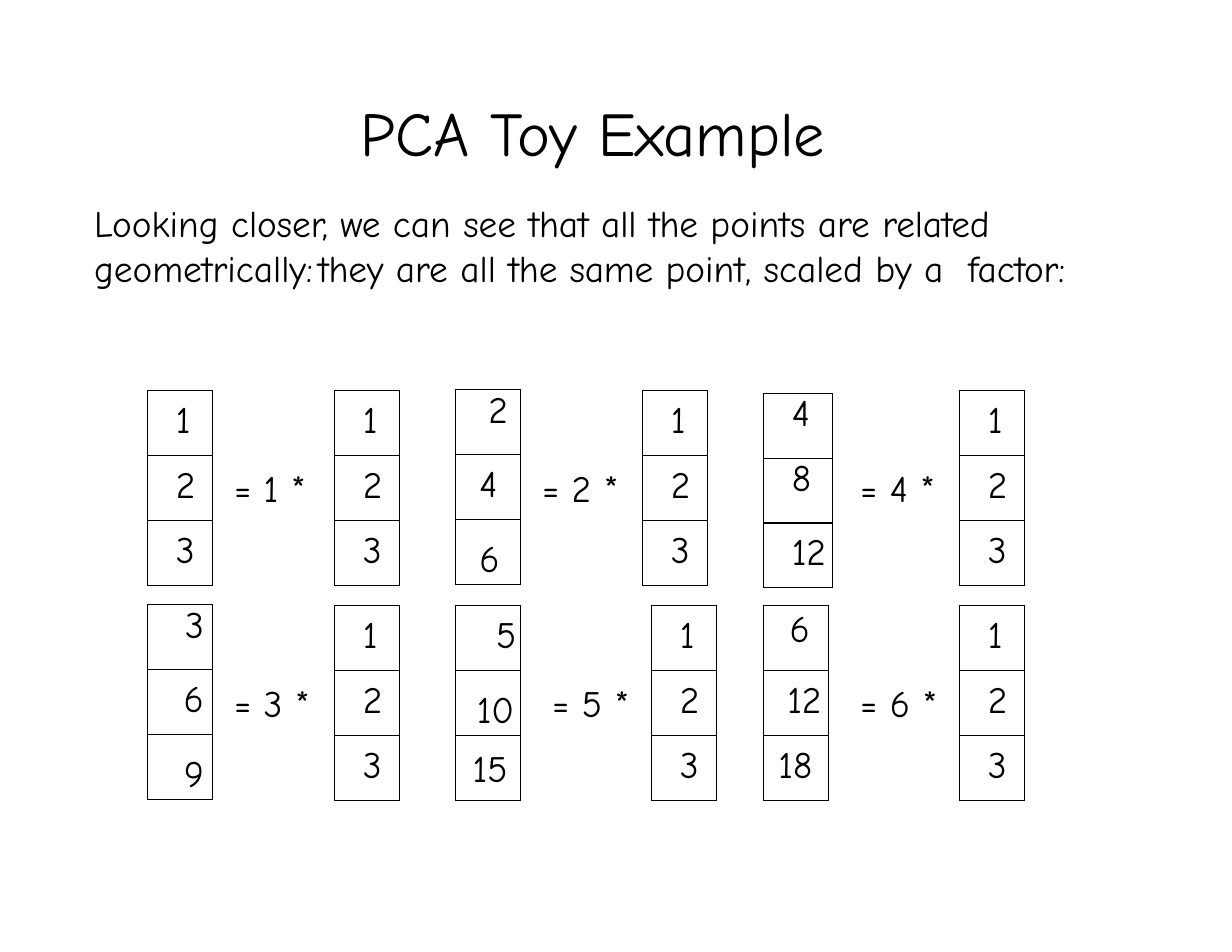
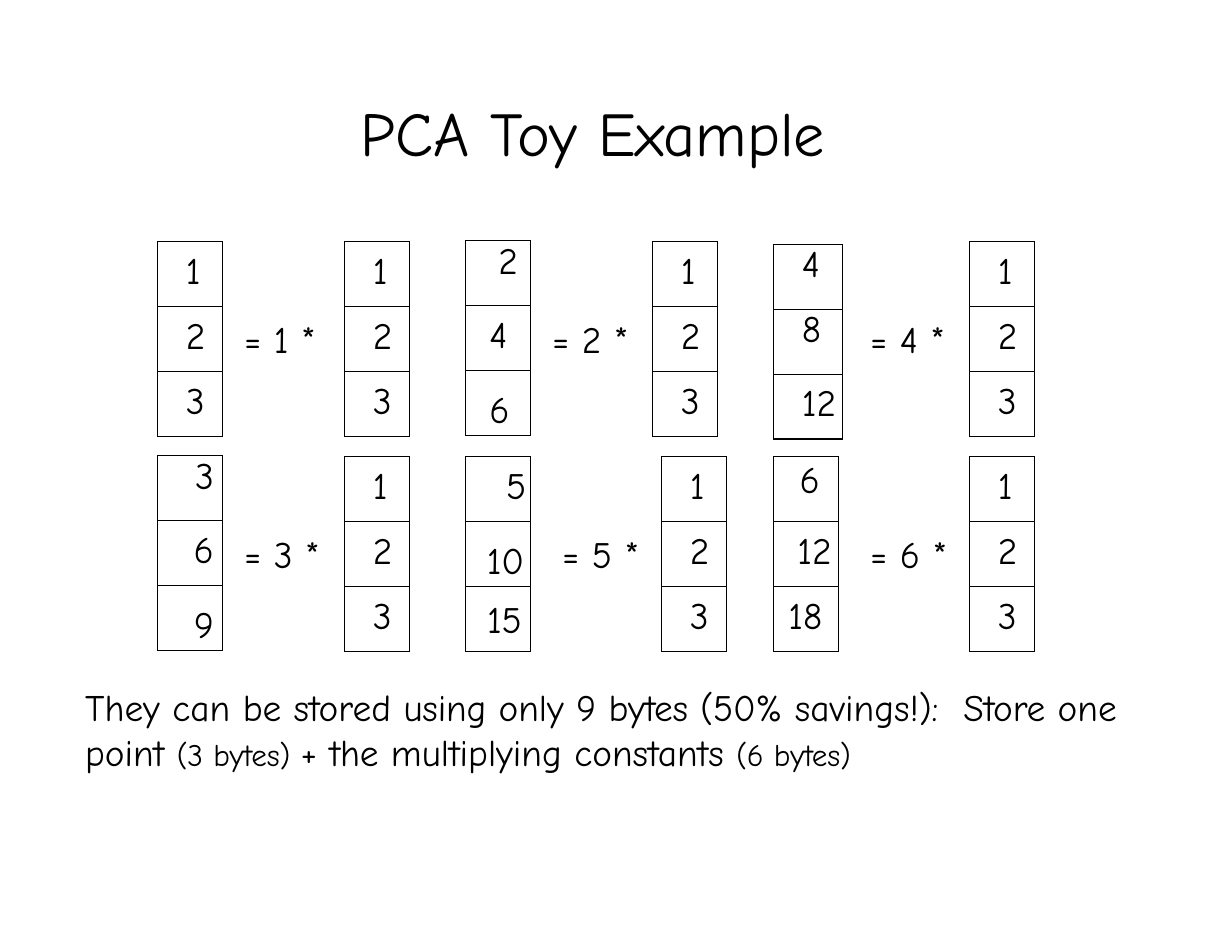
import pptx
import pptx.util
import pptx.enum.text
import pptx.dml.color
from pptx.oxml.xmlchemy import OxmlElement

HUE = {"ink": "000000", "page": "FFFFFF"}
FONT = "Comic Neue"
HEAD = "PCA Toy Example"

# Cells: text, side ("l" or "r"), side margin, top margin
UNIT = [(n, "l", 0.25, 0.08) for n in "123"]
BASE15 = ("15", "l", 0.15, 0.12)
RIGHT15 = ("15", "r", 0.08, 0.12)

# Products: factor, grid column and row, nudge down, shift of "= n *" and of the unit, width, cells
SUMS = [
    (1, 0, 0, 0, 0, 0, 0.58, UNIT),
    (2, 1, 0, -0.01, 0, 0, 0.58,
     [("2", "l", 0.29, 0), ("4", "l", 0.21, 0.08), ("6", "l", 0.21, 0.17)]),
    (4, 2, 0, 0.02, 0.09, 0.08, 0.61,
     [("4", "l", 0.25, 0), ("8", "l", 0.25, 0), ("12", "l", 0.25, 0.08)]),
    (3, 0, 1, -0.01, 0, 0, 0.58,
     [("3", "r", 0.08, 0), ("6", "r", 0.08, 0.08), ("9", "r", 0.08, 0.17)]),
    (5, 1, 1, 0, 0.09, 0.08, 0.58,
     [("5", "r", 0.04, 0.08), ("10", "r", 0.06, 0.17), BASE15]),
    (6, 2, 1, 0, 0.09, 0.08, 0.58,
     [("6", "l", 0.23, 0.03), ("12", "l", 0.21, 0.08), ("18", "l", 0.13, 0.08)]),
]

# Runs: text or (text, size); every second run is set a little tighter
CLOSER = ["Looking closer, ", "we ", "can see ", "that ", "all ", "the ", "points are ",
          "related ", "geometrically:\t", "they ", "are all ", "the same ",
          "point, scaled ", "by ", "a  ", "factor:"]
STORE = ["They can ", "be ", "stored ", "using ", "only 9 ", "bytes (50% ",
         "savings!):  ", "Store ", "one point ", ("(3 bytes) ", 20), "+ ", "the ",
         "multiplying constants ", ("(6 bytes)", 20)]

# Slides: grid origin, body box, body inset, body runs, swapped cells
PAGES = [
    ((1.32, 3.49), (0.83, 1.77, 8.82, 1.23), 0.02, CLOSER, {}),
    ((1.41, 2.16), (0.75, 6.1, 9.26, 0.83), 0.01, STORE, {BASE15: RIGHT15}),
]

# Grid: steps between products, and offsets inside one
STEP_X, STEP_Y = 2.75, 1.92
SIGN_X, SIGN_Y, UNIT_X = 0.76, 0.65, 1.67
CELL = 0.58

inch = pptx.util.Inches
ALIGN = {"l": pptx.enum.text.PP_ALIGN.LEFT, "r": pptx.enum.text.PP_ALIGN.RIGHT}


def write(frame, runs, size=24, side="l", tab=None):
    """Fill the first paragraph of a frame with formatted runs."""
    para = frame.paragraphs[0]
    para.alignment = ALIGN[side]
    para.space_before = pptx.util.Pt(0)
    para.line_spacing = 1.0
    if tab:
        stops = OxmlElement("a:tabLst")
        stop = OxmlElement("a:tab")
        stop.set("pos", str(inch(tab)))
        stop.set("algn", "l")
        stops.append(stop)
        para._p.get_or_add_pPr().append(stops)
    for i, part in enumerate(runs):
        text, points = part if isinstance(part, tuple) else (part, size)
        run = para.add_run()
        run.text = text
        run.font.name = FONT
        run.font.size = pptx.util.Pt(points)
        run.font.color.rgb = pptx.dml.color.RGBColor.from_string(HUE["ink"])
        if i % 2 or (text.isdigit() and len(text) > 1):
            run._r.get_or_add_rPr().set("spc", "-10")


def place(shape, box):
    shape.left, shape.top, shape.width, shape.height = map(inch, box)


def setup(frame, top=0.01):
    """Set wrapping, anchor and insets of a text frame."""
    frame.word_wrap = True
    frame.auto_size = pptx.enum.text.MSO_AUTO_SIZE.NONE
    frame.vertical_anchor = pptx.enum.text.MSO_ANCHOR.TOP
    frame.margin_left, frame.margin_top = inch(0.01), inch(top)
    frame.margin_right = frame.margin_bottom = 0


def label(slide, box, runs, top=0.01, **form):
    frame = slide.shapes.add_textbox(*map(inch, box)).text_frame
    setup(frame, top)
    write(frame, runs, **form)


def border(cell):
    props = cell._tc.get_or_add_tcPr()
    for i, tag in enumerate(("a:lnL", "a:lnR", "a:lnT", "a:lnB")):
        line = OxmlElement(tag)
        line.set("w", str(pptx.util.Pt(0.75)))
        fill = OxmlElement("a:solidFill")
        tint = OxmlElement("a:srgbClr")
        tint.set("val", HUE["ink"])
        fill.append(tint)
        line.append(fill)
        props.insert(i, line)


def stack(slide, x, y, cells, width=CELL):
    """Draw a column vector as a one-column table."""
    size = (x, y, width, CELL * len(cells))
    table = slide.shapes.add_table(len(cells), 1, *map(inch, size)).table
    table.first_row = table.horz_banding = False
    for i, (text, side, gap, top) in enumerate(cells):
        cell = table.cell(i, 0)
        cell.fill.background()
        cell.margin_left = inch(gap if side == "l" else 0)
        cell.margin_right = inch(gap if side == "r" else 0)
        cell.margin_top, cell.margin_bottom = inch(top), 0
        cell.vertical_anchor = pptx.enum.text.MSO_ANCHOR.TOP
        write(cell.text_frame, [text], side=side)
        border(cell)


def build(deck, start, box, top, runs, swap):
    slide = deck.slides.add_slide(deck.slide_layouts[5])
    slide.background.fill.solid()
    slide.background.fill.fore_color.rgb = pptx.dml.color.RGBColor.from_string(HUE["page"])
    # Title
    title = slide.shapes.title
    place(title, (3.21, 0.83, 4.51, 0.7))
    setup(title.text_frame)
    write(title.text_frame, [HEAD], size=40)
    # Body text
    label(slide, box, runs, top=top, tab=2)
    # Grid of products
    for num, col, row, drop, sign, unit, width, cells in SUMS:
        x, y = start[0] + col * STEP_X, start[1] + row * STEP_Y
        stack(slide, x, y + drop, [swap.get(c, c) for c in cells], width)
        label(slide, (x + SIGN_X + sign, y + SIGN_Y, 0.78, 0.43), [f"= {num} *"])
        stack(slide, x + UNIT_X + unit, y, UNIT)


def main():
    deck = pptx.Presentation()
    deck.slide_width, deck.slide_height = inch(11), inch(8.5)
    for page in PAGES:
        build(deck, *page)
    deck.save("out.pptx")


if __name__ == "__main__":
    main()
